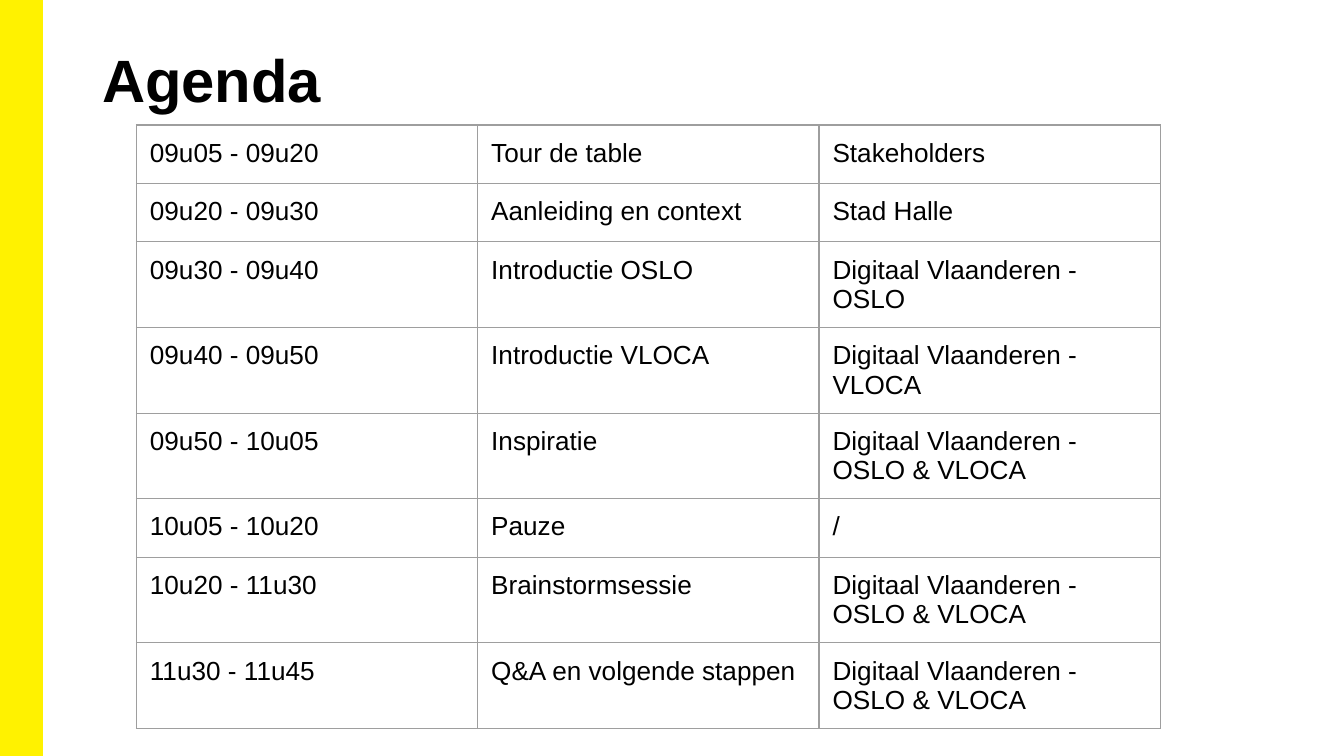
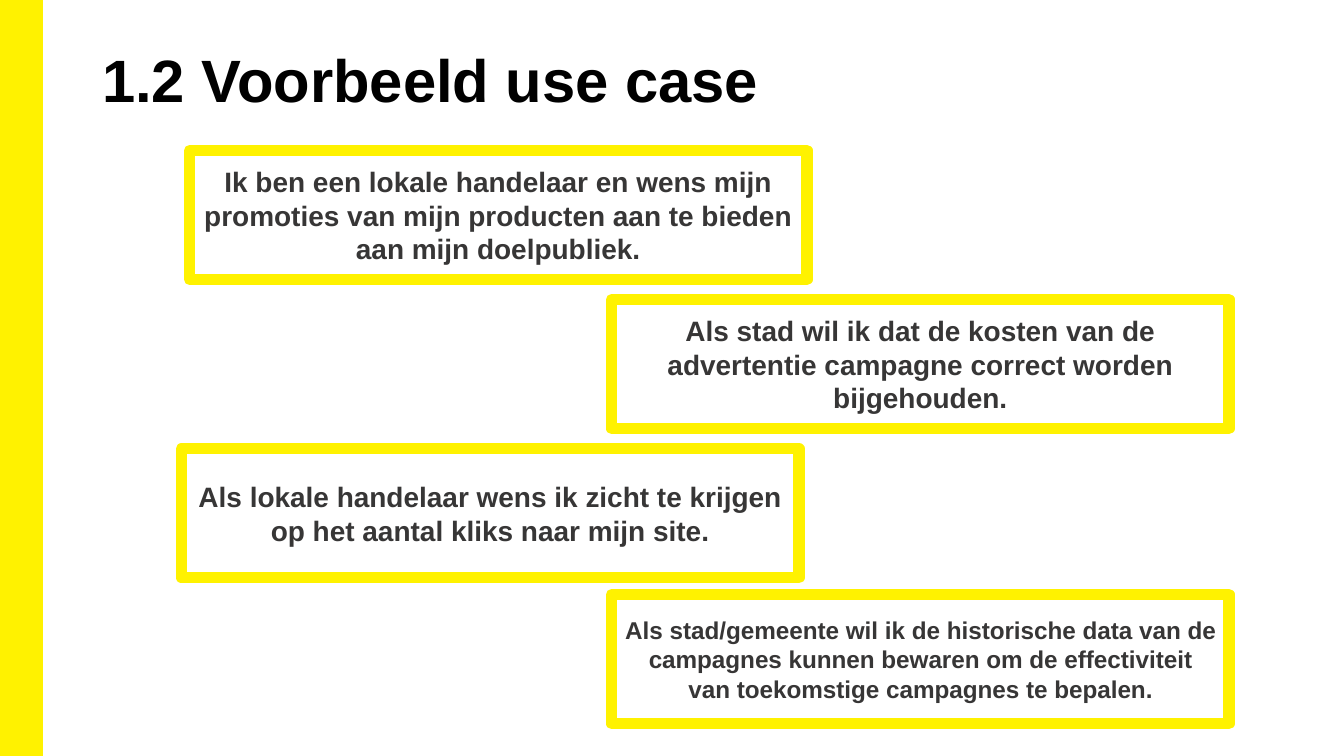
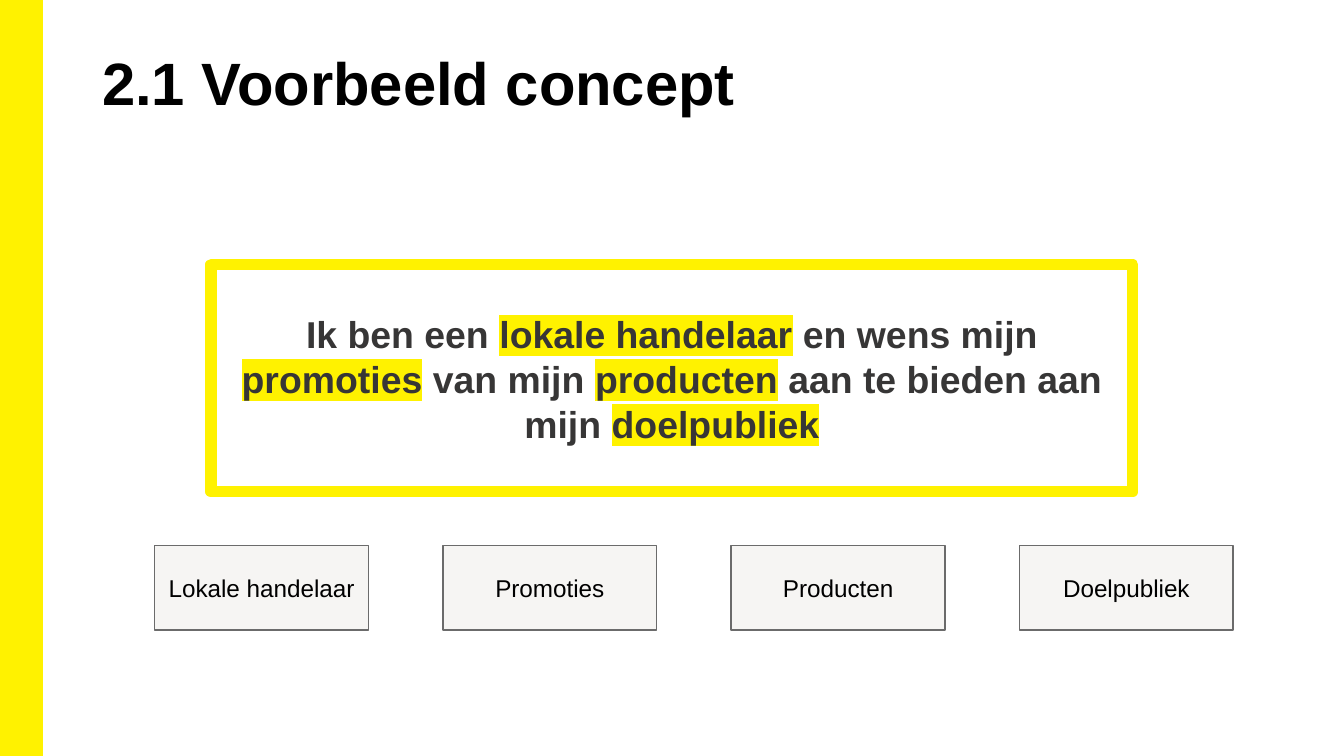
from lxml import etree
from pptx import Presentation
from pptx.dml.color import RGBColor
from pptx.enum.shapes import MSO_SHAPE
from pptx.enum.text import MSO_ANCHOR, MSO_AUTO_SIZE, PP_ALIGN
from pptx.oxml.ns import qn
from pptx.util import Pt

RECT = MSO_SHAPE.RECTANGLE
TOP, MIDDLE = MSO_ANCHOR.TOP, MSO_ANCHOR.MIDDLE
LEFT, CENTER = PP_ALIGN.LEFT, PP_ALIGN.CENTER
NO_FIT = MSO_AUTO_SIZE.NONE
TITLE_ONLY = 5

PX = 4572  # 200 px to the inch
WIDE, HIGH = 2000, 1125
COLORS = {"yellow": "FFF200", "white": "FFFFFF", "black": "000000",
          "ink": "373636", "pale": "F6F5F3", "edge": "6B6B6B",
          "grid": "9E9E9E"}

# Text formats: size, colour, bold, alignment
FORMATS = {
    "title": (32, "black", True, LEFT),
    "case": (15, "ink", True, CENTER),
    "small": (13, "ink", True, CENTER),
    "quote": (20, "ink", True, CENTER),
    "term": (13, "black", False, CENTER),
    "cell": (14, "black", False, LEFT),
}

AGENDA = [
    ("09u05 - 09u20", "Tour de table", "Stakeholders"),
    ("09u20 - 09u30", "Aanleiding en context", "Stad Halle"),
    ("09u30 - 09u40", "Introductie OSLO", "Digitaal Vlaanderen - OSLO"),
    ("09u40 - 09u50", "Introductie VLOCA", "Digitaal Vlaanderen - VLOCA"),
    ("09u50 - 10u05", "Inspiratie", "Digitaal Vlaanderen - OSLO & VLOCA"),
    ("10u05 - 10u20", "Pauze", "/"),
    ("10u20 - 11u30", "Brainstormsessie", "Digitaal Vlaanderen - OSLO & VLOCA"),
    ("11u30 - 11u45", "Q&A en volgende stappen",
     "Digitaal Vlaanderen - OSLO & VLOCA"),
]
CASES = [
    (282, 224, "case", "Ik ben een lokale handelaar en wens mijn promoties van "
     "mijn producten aan te bieden aan mijn doelpubliek."),
    (910, 446, "case", "Als stad wil ik dat de kosten van de advertentie "
     "campagne correct worden bijgehouden."),
    (270, 668, "case", "Als lokale handelaar wens ik zicht te krijgen op het "
     "aantal kliks naar mijn site."),
    (910, 885, "small", "Als stad/gemeente wil ik de historische data van de "
     "campagnes kunnen bewaren om de effectiviteit van toekomstige campagnes "
     "te bepalen."),
]
# Words between asterisks are highlighted
QUOTE = ("Ik ben een *lokale handelaar* en wens mijn *promoties* van mijn "
         "*producten* aan te bieden aan mijn *doelpubliek*")
TERMS = ["Lokale handelaar", "Promoties", "Producten", "Doelpubliek"]


def color(name):
    return RGBColor.from_string(COLORS[name])


def assign(target, **values):
    for name, value in values.items():
        setattr(target, name, value)


def place(shape, box):
    for name, value in zip(("left", "top", "width", "height"), box):
        setattr(shape, name, value * PX)


def inset(target, side, end):
    assign(target, margin_left=side * PX, margin_right=side * PX,
           margin_top=end * PX, margin_bottom=end * PX)


def paint(run):
    """Highlight a run in yellow."""
    fill = run.font._element.find(qn("a:solidFill"))
    mark = etree.Element(qn("a:highlight"))
    etree.SubElement(mark, qn("a:srgbClr"), val=COLORS["yellow"])
    fill.addnext(mark)


def write(frame, text, style):
    size, ink, bold, align = FORMATS[style]
    para = frame.paragraphs[0]
    assign(para, alignment=align, line_spacing=1.0)
    for index, part in enumerate(text.split("*")):
        if not part:
            continue
        run = para.add_run()
        run.text = part
        assign(run.font, name="Arial", size=Pt(size), bold=bold)
        run.font.color.rgb = color(ink)
        if index % 2:
            paint(run)


def block(slide, box, fill, edge, weight):
    shape = slide.shapes.add_shape(RECT, *(v * PX for v in box))
    shape.shadow.inherit = False
    shape.fill.solid()
    shape.fill.fore_color.rgb = color(fill)
    shape.line.color.rgb = color(edge)
    shape.line.width = Pt(weight)
    return shape


def label(shape, text, style, end):
    frame = shape.text_frame
    assign(frame, word_wrap=True, vertical_anchor=MIDDLE)
    inset(frame, 20, end)
    write(frame, text, style)


def framed(slide, box, text, style):
    """Statement in a thick yellow frame with round corners."""
    shape = block(slide, box, "white", "yellow", 6)
    etree.SubElement(shape.line._get_or_add_ln(), qn("a:round"))
    label(shape, text, style, 10)


def start(deck, title, box):
    """Slide with the yellow side band and its title."""
    slide = deck.slides.add_slide(deck.slide_layouts[TITLE_ONLY])
    block(slide, (0, 0, 62, HIGH), "yellow", "yellow", 1)
    head = slide.shapes.title
    place(head, box)
    frame = head.text_frame
    assign(frame, word_wrap=True, auto_size=NO_FIT, vertical_anchor=TOP)
    inset(frame, 14, 8)
    write(frame, title, "title")
    return slide


def border(cell):
    props = cell._tc.get_or_add_tcPr()
    for index, side in enumerate(("a:lnL", "a:lnR", "a:lnT", "a:lnB")):
        line = etree.Element(qn(side), w=str(Pt(0.75)))
        fill = etree.SubElement(line, qn("a:solidFill"))
        etree.SubElement(fill, qn("a:srgbClr"), val=COLORS["grid"])
        props.insert(index, line)


def grid(slide, box, rows):
    left, top, width, height = box
    count = len(rows[0])
    table = slide.shapes.add_table(
        len(rows), count, left * PX, top * PX, width * PX, height * PX).table
    assign(table, first_row=False, horz_banding=False)
    for col in table.columns:
        col.width = width * PX // count
    for row in table.rows:
        row.height = height * PX // len(rows)
    for r, row in enumerate(rows):
        for c, text in enumerate(row):
            cell = table.cell(r, c)
            cell.fill.background()
            inset(cell, 20, 20)
            write(cell.text_frame, text, "cell")
            border(cell)


def cases(slide, size):
    for left, top, style, text in CASES:
        framed(slide, (left, top, *size), text, style)


def terms(slide, box, step):
    left, top, width, height = box
    for index, term in enumerate(TERMS):
        spot = (left + index * step, top, width, height)
        label(block(slide, spot, "pale", "edge", 0.75), term, "term", 20)


def main():
    deck = Presentation()
    assign(deck, slide_width=WIDE * PX, slide_height=HIGH * PX)

    # Agenda
    slide = start(deck, "Agenda", (138, 56, 1724, 162))
    grid(slide, (203, 186, 1524, 696), AGENDA)

    # Use cases
    slide = start(deck, "1.2 Voorbeeld use case", (138, 56, 1794, 276))
    cases(slide, (919, 192))

    # Concepts
    slide = start(deck, "2.1 Voorbeeld concept", (138, 60, 1794, 276))
    framed(slide, (314, 394, 1372, 338), QUOTE, "quote")
    terms(slide, (230, 812, 318, 126), 429)

    deck.save("out.pptx")


if __name__ == "__main__":
    main()
